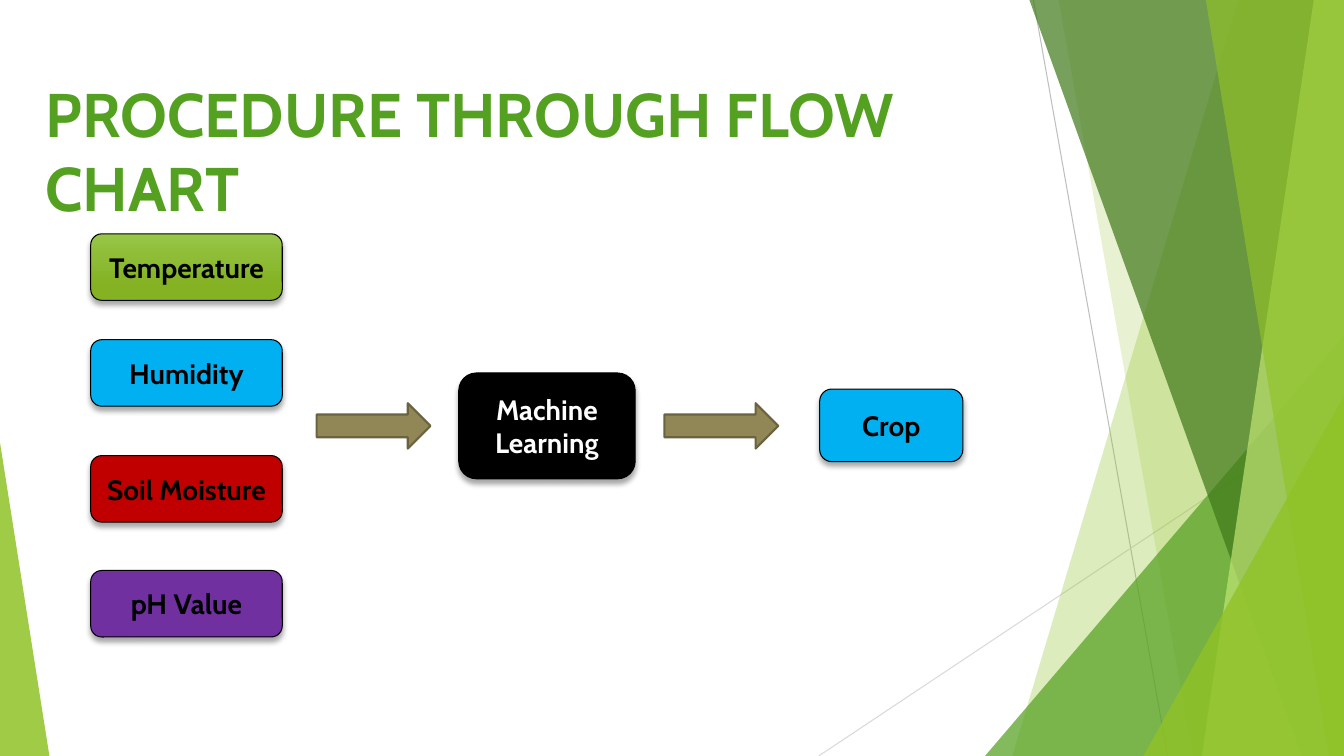
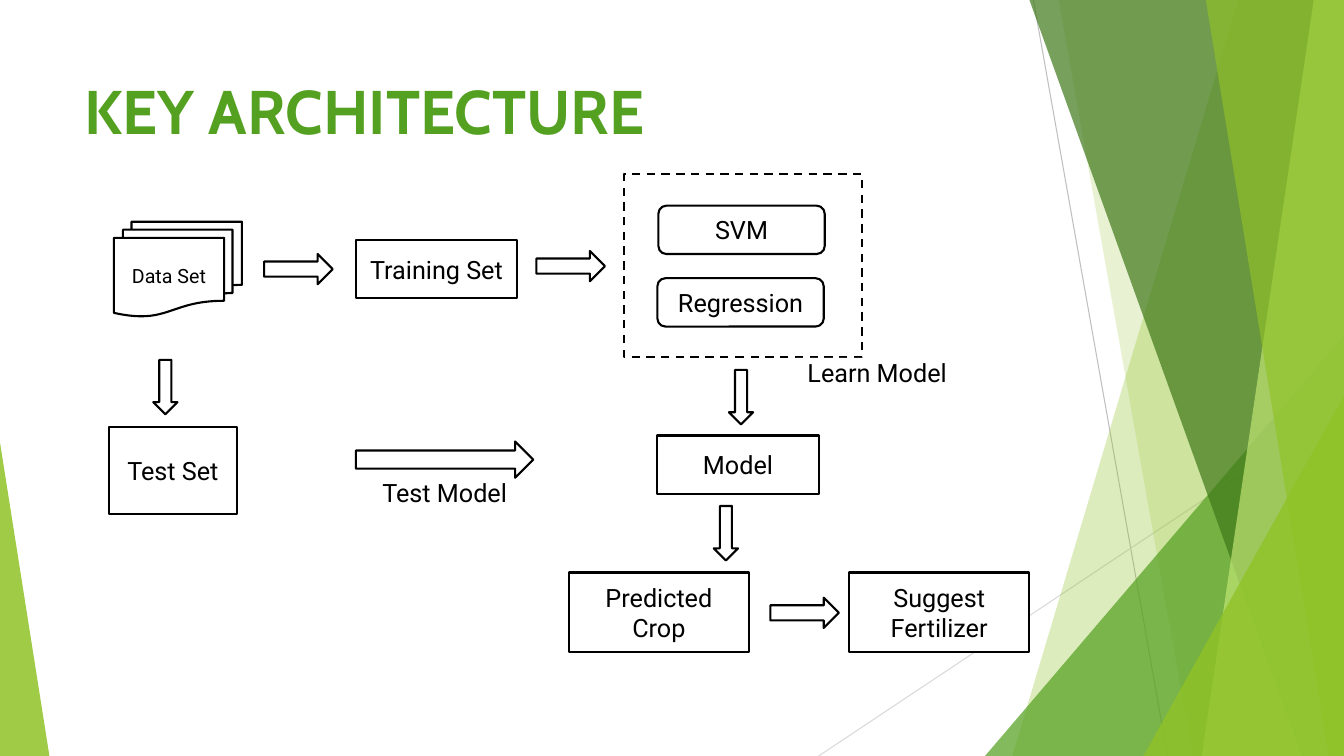
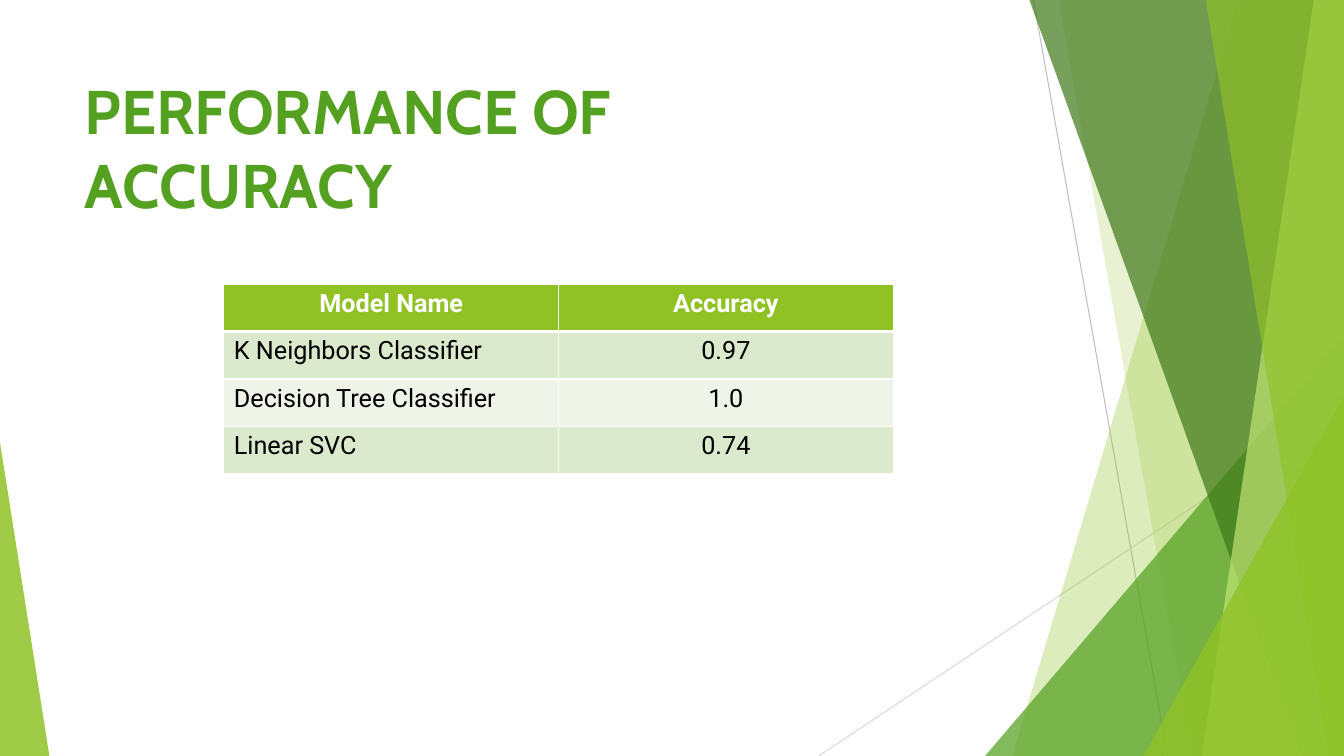
from lxml import etree
from pptx import Presentation
from pptx.dml.color import RGBColor
from pptx.enum.dml import MSO_LINE
from pptx.enum.shapes import MSO_CONNECTOR, MSO_SHAPE
from pptx.enum.text import MSO_ANCHOR, MSO_AUTO_SIZE, PP_ALIGN
from pptx.oxml.ns import qn
from pptx.util import Inches, Pt

RECTANGLE = MSO_SHAPE.RECTANGLE
ROUNDED = MSO_SHAPE.FLOWCHART_ALTERNATE_PROCESS
DOCUMENTS = MSO_SHAPE.FLOWCHART_MULTIDOCUMENT
TRIANGLE = MSO_SHAPE.ISOSCELES_TRIANGLE
RIGHT_ARROW = MSO_SHAPE.RIGHT_ARROW
DOWN_ARROW = MSO_SHAPE.DOWN_ARROW
STRAIGHT = MSO_CONNECTOR.STRAIGHT
DASH = MSO_LINE.DASH
TOP, MIDDLE = MSO_ANCHOR.TOP, MSO_ANCHOR.MIDDLE
LEFT, CENTER = PP_ALIGN.LEFT, PP_ALIGN.CENTER
NO_AUTOFIT = MSO_AUTO_SIZE.NONE

BLACK = RGBColor(0x00, 0x00, 0x00)
WHITE = RGBColor(0xFF, 0xFF, 0xFF)
GREEN = RGBColor(0x54, 0xA0, 0x21)
DARK_GREEN = RGBColor(0x3F, 0x78, 0x19)
LIME = RGBColor(0x90, 0xC2, 0x26)
PALE_LIME = RGBColor(0xC0, 0xE4, 0x74)
GRADIENT_TOP = RGBColor(0x97, 0xC5, 0x47)
GRADIENT_BOTTOM = RGBColor(0x84, 0xB2, 0x23)
BLUE = RGBColor(0x00, 0xB0, 0xF0)
RED = RGBColor(0xC0, 0x00, 0x00)
PURPLE = RGBColor(0x70, 0x30, 0xA0)
OLIVE = RGBColor(0x91, 0x86, 0x55)
DARK_OLIVE = RGBColor(0x6B, 0x63, 0x3F)
GRAY = RGBColor(0xBF, 0xBF, 0xBF)
LIGHT_GRAY = RGBColor(0xD9, 0xD9, 0xD9)
ROW_TINT = RGBColor(0xDB, 0xE9, 0xCD)
ROW_LIGHT = RGBColor(0xEE, 0xF4, 0xE8)

WIDTH, HEIGHT = 13.33, 7.5
TITLE_FONT = {"name": "Cabin", "size": Pt(44), "bold": True}
CARD_FONT = {"name": "Cabin", "size": Pt(20), "bold": True}
BODY_FONT = {"name": "Roboto", "size": Pt(18), "bold": False}
SMALL_FONT = {**BODY_FONT, "size": Pt(14)}
HEADER_FONT = {**BODY_FONT, "bold": True}


def set_values(target, values):
    for name, value in values.items():
        setattr(target, name, value)


def add_element(parent, tag, **attributes):
    return etree.SubElement(parent, qn(tag), attributes)


class Deck:
    """Holds the shared style and the slide being drawn."""

    def __init__(self):
        self.presentation = Presentation()
        self.presentation.slide_width = Inches(WIDTH)
        self.presentation.slide_height = Inches(HEIGHT)
        self.layout = self.presentation.slide_layouts[5]
        self.slide = None

    def start_slide(self, title, left, top, width, height):
        self.slide = self.presentation.slides.add_slide(self.layout)
        placeholder = self.slide.shapes.title
        set_values(placeholder, {"left": Inches(left), "top": Inches(top),
                                 "width": Inches(width), "height": Inches(height)})
        self.set_text(placeholder.text_frame, title, TITLE_FONT, GREEN, LEFT, TOP)

    def set_text(self, frame, text, font, color, alignment=CENTER, anchor=MIDDLE):
        set_values(frame, {"text": text, "word_wrap": True,
                           "auto_size": NO_AUTOFIT, "vertical_anchor": anchor})
        self.format_paragraph(frame.paragraphs[0], font, color, alignment)

    def format_paragraph(self, paragraph, font, color, alignment):
        paragraph.alignment = alignment
        set_values(paragraph.font, font)
        paragraph.font.color.rgb = color

    def shape(self, kind, left, top, width, height, fill=None, line=None, weight=1.5):
        shape = self.slide.shapes.add_shape(
            kind, Inches(left), Inches(top), Inches(width), Inches(height))
        self.paint(shape, fill, line, weight)
        return shape

    def paint(self, shape, fill, line=None, weight=1.5):
        shape.shadow.inherit = False
        if fill is None:
            shape.fill.background()
        else:
            shape.fill.solid()
            shape.fill.fore_color.rgb = fill
        if line is None:
            shape.line.fill.background()
        else:
            shape.line.color.rgb = line
            shape.line.width = Pt(weight)

    def set_opacity(self, shape, percent):
        color = shape.element.spPr.find(".//" + qn("a:srgbClr"))
        add_element(color, "a:alpha", val=str(percent * 1000))

    def band(self, top_left, bottom_left, color, opacity):
        """Draw a slanted band that reaches to the right edge of the slide."""
        builder = self.slide.shapes.build_freeform(Inches(top_left), 0)
        corners = [(WIDTH, 0), (WIDTH, HEIGHT), (bottom_left, HEIGHT)]
        builder.add_line_segments([(Inches(x), Inches(y)) for x, y in corners])
        shape = builder.convert_to_shape()
        self.paint(shape, color)
        self.set_opacity(shape, opacity)

    def corner(self, left, top, width, apex, color, opacity):
        """Draw a triangle that stands on the bottom edge of the slide."""
        shape = self.shape(TRIANGLE, left, top, width, HEIGHT - top, color)
        shape.adjustments[0] = apex
        self.set_opacity(shape, opacity)

    def hairline(self, start_x, start_y, end_x, end_y, color):
        connector = self.slide.shapes.add_connector(
            STRAIGHT, Inches(start_x), Inches(start_y), Inches(end_x), Inches(end_y))
        connector.line.color.rgb = color
        connector.line.width = Pt(0.75)
        add_element(connector.element.spPr, "a:effectLst")

    def build_backdrop(self):
        """Draw the backdrop once and hand it to the layout all slides use."""
        for placeholder in list(self.layout.placeholders):
            if placeholder.placeholder_format.idx != 0:
                self.layout.shapes.element.remove(placeholder.element)
        self.hairline(10.25, 0, 11.58, HEIGHT, GRAY)
        self.hairline(WIDTH, 4.03, 8.12, HEIGHT, LIGHT_GRAY)
        self.band(12.28, 10.04, LIME, 30)
        self.band(10.5, 11.83, LIME, 20)
        self.corner(9.77, 3.33, 3.56, 1, GREEN, 72)
        self.band(10.21, 12.91, DARK_GREEN, 70)
        self.band(13.03, 11.92, PALE_LIME, 70)
        self.band(11.96, 13.18, LIME, 65)
        self.corner(11.34, 3.93, 1.99, 1, LIME, 80)
        self.corner(0, 4.39, 0.49, 0, LIME, 85)
        for shape in list(self.slide.shapes):
            if not shape.is_placeholder:
                self.layout.shapes.element.append(shape.element)

    def card(self, text, left, top, width, height, fill, color=BLACK):
        shape = self.shape(ROUNDED, left, top, width, height, fill, BLACK, 0.75)
        effects = shape.element.spPr.find(qn("a:effectLst"))
        shadow = add_element(effects, "a:outerShdw", blurRad=str(Pt(4)), dist=str(Pt(3)),
                             dir="5400000", rotWithShape="0")
        shadow_color = add_element(shadow, "a:srgbClr", val=str(BLACK))
        add_element(shadow_color, "a:alpha", val="35000")
        self.set_text(shape.text_frame, text, CARD_FONT, color)
        return shape

    def node(self, text, left, top, width, height, kind=RECTANGLE, fill=WHITE,
             line=BLACK, font=BODY_FONT):
        shape = self.shape(kind, left, top, width, height, fill, line)
        self.set_text(shape.text_frame, text, font, BLACK)

    def label(self, text, left, top):
        self.node(text, left, top, 1.62, 0.29, line=None)

    def right_arrow(self, left, top, width=0.68, height=0.3, fill=WHITE, line=BLACK):
        self.shape(RIGHT_ARROW, left, top, width, height, fill, line)

    def down_arrow(self, left, top):
        self.shape(DOWN_ARROW, left, top, 0.24, 0.54, WHITE, BLACK)

    def border(self, cell, sides):
        """Draw white cell borders from a dict of side letter and points."""
        properties = cell._tc.get_or_add_tcPr()
        for side, points in sides.items():
            line = add_element(properties, "a:ln" + side, w=str(Pt(points)))
            fill = add_element(line, "a:solidFill")
            add_element(fill, "a:srgbClr", val=str(WHITE))

    def table(self, rows, left, top, column_width, row_height):
        columns = len(rows[0])
        table = self.slide.shapes.add_table(
            len(rows), columns, Inches(left), Inches(top),
            Inches(column_width * columns), Inches(row_height * len(rows))).table
        for row_index, row in enumerate(rows):
            header = row_index == 0
            fill = LIME if header else (ROW_LIGHT, ROW_TINT)[row_index % 2]
            font, color = (HEADER_FONT, WHITE) if header else (BODY_FONT, BLACK)
            sides = {"L": 1, "R": 1, "T": 3 if row_index == 1 else 1,
                     "B": 3 if header else 1}
            for column_index, text in enumerate(row):
                cell = table.cell(row_index, column_index)
                self.border(cell, sides)
                cell.fill.solid()
                cell.fill.fore_color.rgb = fill
                cell.text = text
                self.format_paragraph(cell.text_frame.paragraphs[0], font, color,
                                      CENTER if header or column_index else LEFT)


def draw_flow_chart(deck):
    inputs = [("Temperature", 2.32, LIME), ("Humidity", 3.37, BLUE),
              ("Soil Moisture", 4.52, RED), ("pH Value", 5.66, PURPLE)]
    cards = [deck.card(text, 0.9, top, 1.9, 0.66, fill) for text, top, fill in inputs]
    gradient = cards[0].fill
    gradient.gradient()
    gradient.gradient_angle = 270
    stops = [(0, GRADIENT_TOP), (0.78, GRADIENT_BOTTOM)]
    for stop, (position, color) in zip(gradient.gradient_stops, stops):
        stop.position = position
        stop.color.rgb = color
    for left in (3.14, 6.59):
        deck.right_arrow(left, 4, 1.13, 0.45, OLIVE, DARK_OLIVE)
    deck.card("Machine Learning", 4.55, 3.7, 1.75, 1.05, BLACK, WHITE)
    deck.card("Crop", 8.13, 3.86, 1.42, 0.72, BLUE)


def draw_architecture(deck):
    deck.node("Data Set", 1.13, 2.2, 1.27, 0.94, DOCUMENTS, None, font=SMALL_FONT)
    deck.node("Training Set", 3.53, 2.38, 1.6, 0.58)
    learners = deck.shape(RECTANGLE, 6.19, 1.73, 2.36, 1.81, line=BLACK)
    learners.line.dash_style = DASH
    deck.node("SVM", 6.53, 2.04, 1.65, 0.48, ROUNDED, None)
    deck.node("Regression", 6.52, 2.76, 1.65, 0.48, ROUNDED, None)
    deck.label("Learn Model", 7.89, 3.55)
    deck.node("Model", 6.52, 4.32, 1.6, 0.58)
    deck.node("Test Set", 1.08, 4.24, 1.27, 0.86)
    deck.label("Test Model", 3.6, 4.74)
    for text, left in (("Predicted Crop", 5.64), ("Suggest Fertilizer", 8.42)):
        deck.node(text, left, 5.68, 1.79, 0.79)
    for left, top in ((2.62, 2.52), (5.32, 2.49), (7.64, 5.93)):
        deck.right_arrow(left, top)
    deck.right_arrow(3.53, 4.38, 1.76, 0.36)
    for left, top in ((1.52, 3.57), (7.23, 3.67), (7.08, 5.02)):
        deck.down_arrow(left, top)


def main():
    deck = Deck()
    deck.start_slide("PROCEDURE THROUGH FLOW CHART", 0.35, 0.7, 10.22, 1.05)
    deck.build_backdrop()
    draw_flow_chart(deck)

    deck.start_slide("KEY ARCHITECTURE", 0.74, 0.67, 9.06, 0.86)
    draw_architecture(deck)

    deck.start_slide("PERFORMANCE OF ACCURACY", 0.74, 0.67, 8.11, 0.89)
    deck.table([("Model Name", "Accuracy"),
                ("K Neighbors Classifier", "0.97"),
                ("Decision Tree Classifier", "1.0"),
                ("Linear SVC", "0.74")], 2.22, 2.82, 3.32, 0.47)

    deck.presentation.save("out.pptx")


if __name__ == "__main__":
    main()
